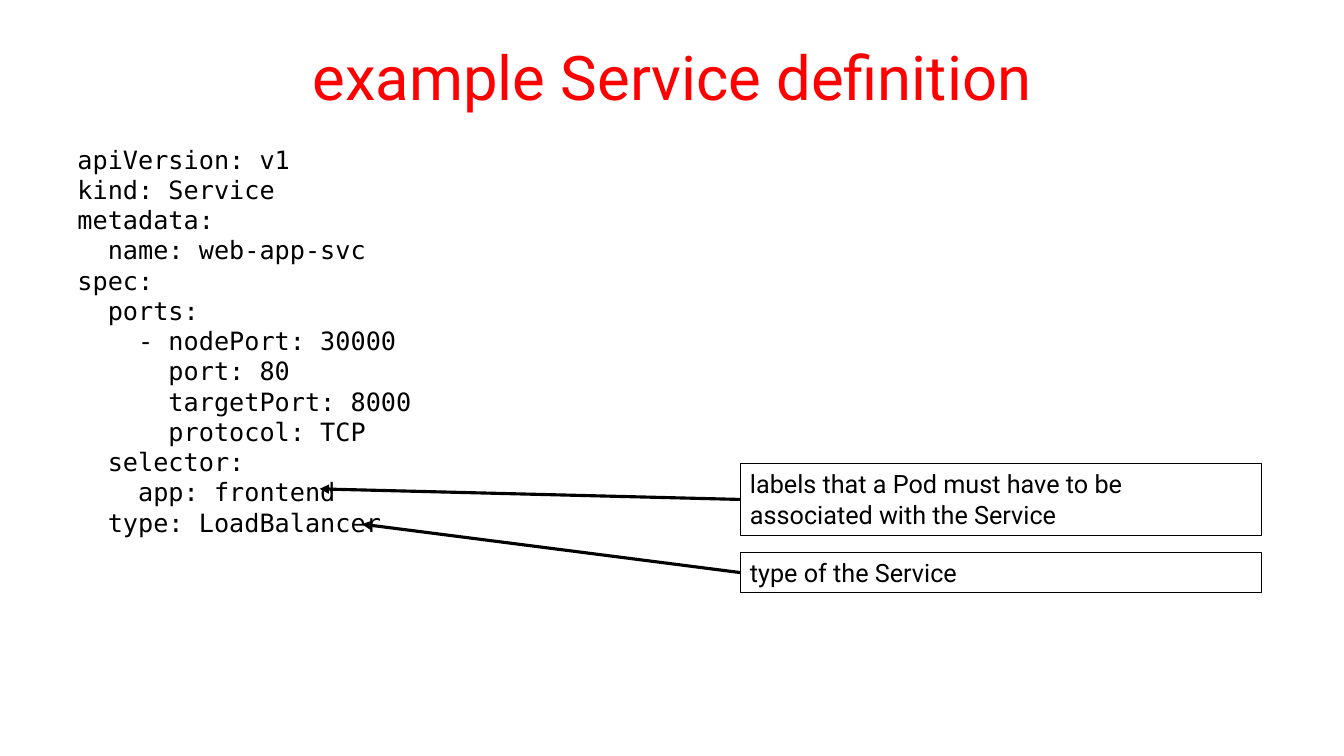
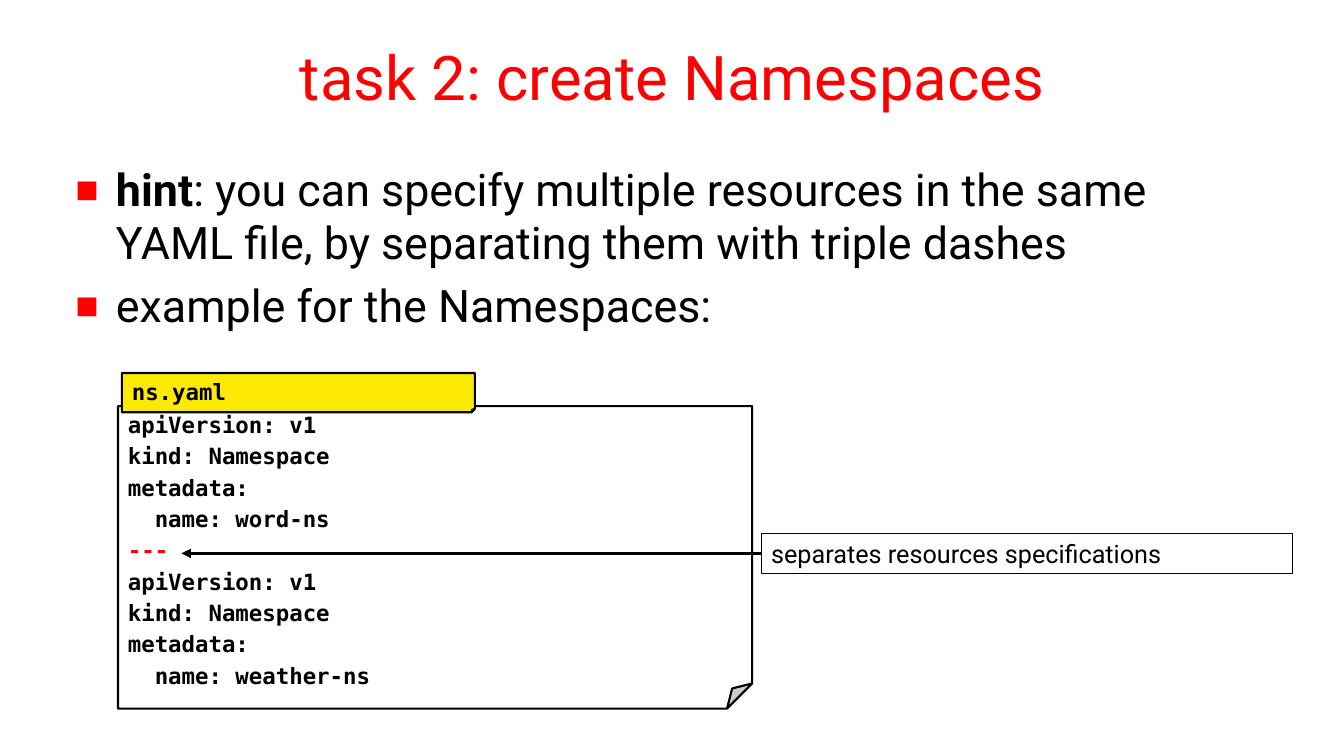
from lxml import etree
from pptx import Presentation
from pptx import util as u
from pptx.dml.color import RGBColor
from pptx.enum import shapes, text
from pptx.oxml import ns

COLORS = {"paper": "FFFFFF", "ink": "000000", "accent": "FF0000", "tab": "FCEA04"}
SANS, MONO = "Roboto", "DejaVu Sans Mono"
PX = 9144
SLIDE_SIZE = (1333, 750)
TITLE_BOX = (67, 13, 1200, 125)
INDENT = 38

SERVICE_TITLE = "example Service definition"
SERVICE_BOX = (67, 138, 667, 404)
SERVICE_CODE = [
    "apiVersion: v1",
    "kind: Service",
    "metadata:",
    "  name: web-app-svc",
    "spec:",
    "  ports:",
    "    - nodePort: 30000",
    "      port: 80",
    "      targetPort: 8000",
    "      protocol: TCP",
    "  selector:",
    "    app: frontend",
    "  type: LoadBalancer",
]
SERVICE_CALLOUTS = [
    ("labels that a Pod must have to be associated with the Service",
     (734, 460, 517, 71), (317, 485)),
    ("type of the Service", (734, 548, 517, 40), (359, 520)),
]

NAMESPACE_TITLE = "task 2: create Namespaces"
HINT_BOX = (67, 155, 1200, 198)
HINTS = [
    [("hint", {"bold": True}),
     ": you can specify multiple resources in the same YAML file, "
     "by separating them with triple dashes"],
    "example for the Namespaces:",
]
FILE_BOX, FILE_TAB_BOX = (117, 403, 629, 300), (121, 370, 350, 39)
FILE_NAME = "ns.yaml"
NAMESPACES = ["word-ns", "weather-ns"]
SEPARATOR = [("---", {"color": "accent"})]
NAMESPACE_CALLOUTS = [
    ("separates resources specifications", (755, 529, 527, 40), (180, 549)),
]


def px(*lengths):
    return [u.Emu(length * PX) for length in lengths]


def rgb(name):
    return RGBColor.from_string(COLORS[name])


def add_element(parent, tag, **attributes):
    return etree.SubElement(parent, ns.qn(tag), attributes)


def add_bullet(paragraph):
    properties = paragraph._p.get_or_add_pPr()
    properties.set("marL", str(INDENT * PX))
    properties.set("indent", str(-INDENT * PX))
    color = add_element(properties, "a:buClr")
    add_element(color, "a:srgbClr", val=COLORS["accent"])
    add_element(properties, "a:buSzPct", val="70000")
    add_element(properties, "a:buFont", typeface=MONO)
    add_element(properties, "a:buChar", char="■")


def write(shape, paragraphs, size=18, font=SANS, color="ink", bold=False,
          align=text.PP_ALIGN.LEFT, anchor=text.MSO_ANCHOR.TOP,
          gap=0, bullets=False, grow=False):
    frame = shape.text_frame
    frame.word_wrap = True
    frame.auto_size = (text.MSO_AUTO_SIZE.SHAPE_TO_FIT_TEXT if grow
                       else text.MSO_AUTO_SIZE.NONE)
    frame.vertical_anchor = anchor
    for index, content in enumerate(paragraphs):
        paragraph = frame.add_paragraph() if index else frame.paragraphs[0]
        paragraph.alignment = align
        paragraph.space_before = u.Pt(size * gap if index else 0)
        if bullets:
            add_bullet(paragraph)
        for part in [content] if isinstance(content, str) else content:
            words, changes = (part, {}) if isinstance(part, str) else part
            run = paragraph.add_run()
            run.text = words
            run.font.name = font
            run.font.size = u.Pt(size)
            run.font.bold = changes.get("bold", bold)
            run.font.color.rgb = rgb(changes.get("color", color))


def place(shape, box):
    shape.left, shape.top, shape.width, shape.height = px(*box)


def add_titled_slide(presentation, layout, title):
    slide = presentation.slides.add_slide(presentation.slide_layouts[layout])
    place(slide.shapes.title, TITLE_BOX)
    write(slide.shapes.title, [title], size=44, color="accent",
          align=text.PP_ALIGN.CENTER, anchor=text.MSO_ANCHOR.MIDDLE)
    return slide


def add_panel(parent, preset, box, fill="paper", line=0.75):
    panel = parent.shapes.add_shape(preset, *px(*box))
    panel.shadow.inherit = False
    panel.fill.solid()
    panel.fill.fore_color.rgb = rgb(fill)
    panel.line.color.rgb = rgb("ink")
    panel.line.width = u.Pt(line)
    return panel


def add_callout(slide, label, box, target):
    panel = add_panel(slide, shapes.MSO_SHAPE.RECTANGLE, box)
    write(panel, [label], grow=True)
    left, top, _, height = box
    arrow = slide.shapes.add_connector(
        shapes.MSO_CONNECTOR.STRAIGHT, *px(left, top + height // 2, *target))
    arrow.begin_connect(panel, 1)
    arrow.line.color.rgb = rgb("ink")
    arrow.line.width = u.Pt(2.25)
    add_element(arrow.line._get_or_add_ln(), "a:tailEnd", type="triangle")
    add_element(arrow._element.spPr, "a:effectLst")


def add_note(group, box, lines, fill="paper"):
    note = add_panel(group, shapes.MSO_SHAPE.FOLDED_CORNER, box, fill, 1.5)
    guides = next(note._element.iter(ns.qn("a:avLst")))
    add_element(guides, "a:gd", name="adj", fmla="val 8300")
    write(note, lines, size=16, font=MONO, bold=True, gap=0.2)


def namespace_code():
    lines = []
    for name in NAMESPACES:
        if lines:
            lines.append(SEPARATOR)
        lines += ["apiVersion: v1", "kind: Namespace", "metadata:", f"  name: {name}"]
    return lines


def build_service_slide(presentation):
    slide = add_titled_slide(presentation, 5, SERVICE_TITLE)
    code = slide.shapes.add_textbox(*px(*SERVICE_BOX))
    write(code, SERVICE_CODE, font=MONO, grow=True)
    for callout in SERVICE_CALLOUTS:
        add_callout(slide, *callout)


def build_namespace_slide(presentation):
    slide = add_titled_slide(presentation, 1, NAMESPACE_TITLE)
    body = slide.placeholders[1]
    place(body, HINT_BOX)
    write(body, HINTS, size=32, gap=0.2, bullets=True)
    file_group = slide.shapes.add_group_shape()
    add_note(file_group, FILE_BOX, namespace_code())
    add_note(file_group, FILE_TAB_BOX, [FILE_NAME], "tab")
    for callout in NAMESPACE_CALLOUTS:
        add_callout(slide, *callout)


def main():
    presentation = Presentation()
    presentation.slide_width, presentation.slide_height = px(*SLIDE_SIZE)
    background = presentation.slide_master.background.fill
    background.solid()
    background.fore_color.rgb = rgb("paper")
    build_service_slide(presentation)
    build_namespace_slide(presentation)
    presentation.save("out.pptx")


if __name__ == "__main__":
    main()
